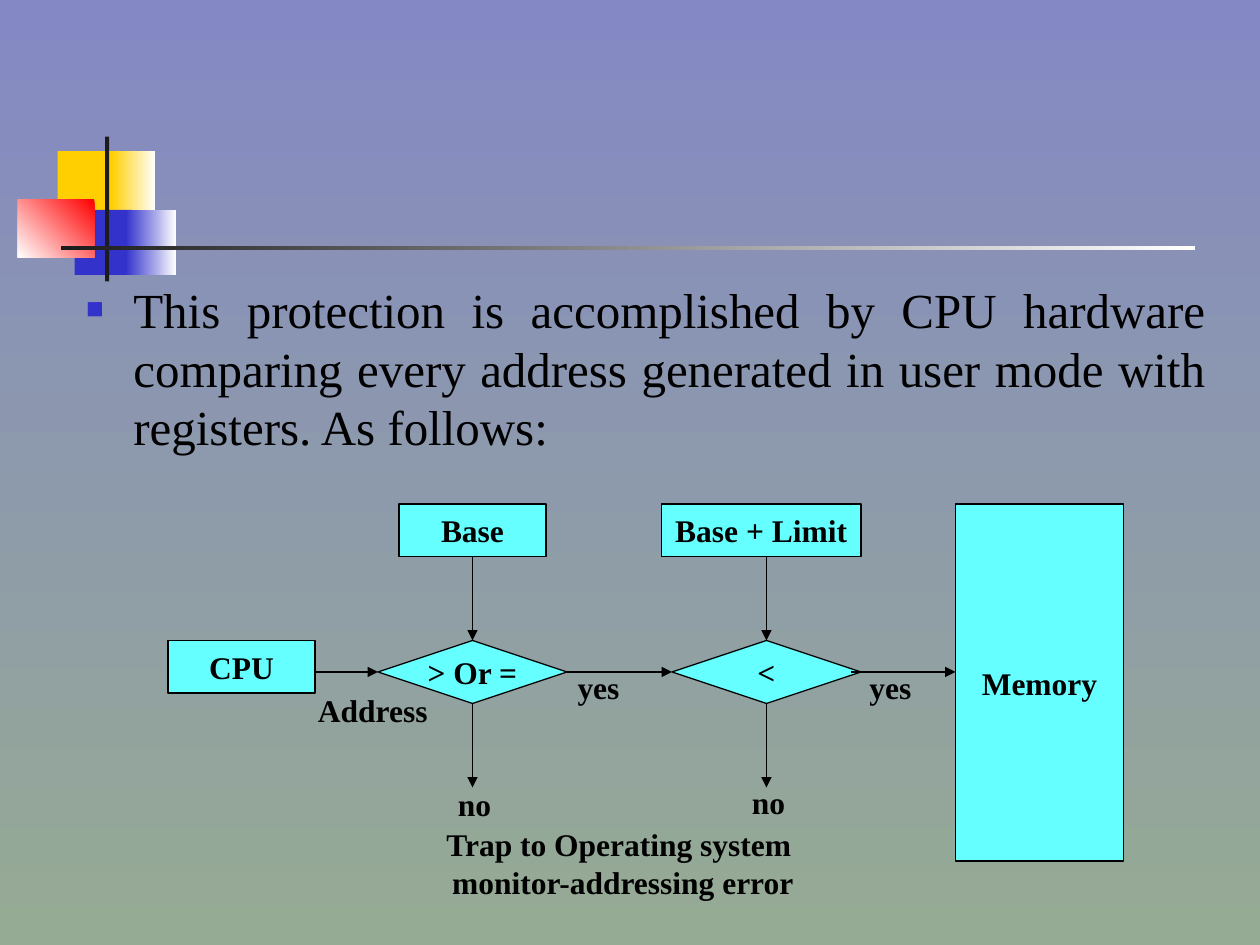
from dataclasses import dataclass

from lxml.etree import SubElement
from pptx import Presentation
from pptx.dml.color import RGBColor
from pptx.enum.shapes import MSO_CONNECTOR as CONN, MSO_SHAPE as SHAPE
from pptx.enum.text import MSO_ANCHOR as ANCHOR, MSO_AUTO_SIZE as AUTO, PP_ALIGN as ALIGN
from pptx.oxml.ns import qn
from pptx.util import Pt

PX = 7620


def px(*lengths):
    return [n * PX for n in lengths]


@dataclass(frozen=True)
class Theme:
    font: str = "Times New Roman"
    body: int = 28
    label: int = 18
    line: float = 0.75
    ink: str = "000000"
    box: str = "66FFFF"
    yellow: str = "FFCF01"
    blue: str = "3333CC"
    red: str = "FF0000"
    white: str = "FFFFFF"
    dark: str = "1C1C1C"
    sky: str = "8488C4"
    sage: str = "96AB94"


def write(tf, text, *, font, size, color, bold=False, align=ALIGN.CENTER):
    for i, line in enumerate(text.split("\n")):
        p = tf.add_paragraph() if i else tf.paragraphs[0]
        p.alignment = align
        r = p.add_run()
        r.text = line
        r.font.name, r.font.size, r.font.bold = font, Pt(size), bold
        r.font.color.rgb = RGBColor.from_string(color)


def paint(fill, color, end=None, angle=180):
    if end is None:
        fill.solid()
        fill.fore_color.rgb = RGBColor.from_string(color)
        return
    fill.gradient()
    fill.gradient_angle = 360 - angle
    for stop, c in zip(fill.gradient_stops, (color, end)):
        stop.color.rgb = RGBColor.from_string(c)


class Deck:
    def __init__(self, theme):
        self.t = theme
        self.prs = Presentation()
        self.prs.slide_width, self.prs.slide_height = px(1200, 900)

    def slide(self):
        self.s = self.prs.slides.add_slide(self.prs.slide_layouts[1])
        title = self.s.shapes.title.element
        title.getparent().remove(title)
        paint(self.s.background.fill, self.t.sky, self.t.sage, 90)

    def block(self, at, *colors):
        sp = self.s.shapes.add_shape(SHAPE.RECTANGLE, *px(*at))
        sp.shadow.inherit = False
        paint(sp.fill, *colors)
        sp.line.fill.background()

    def bullet(self, at, text):
        t = self.t
        sp = self.s.placeholders[1]
        sp.left, sp.top, sp.width, sp.height = px(*at)
        tf = sp.text_frame
        tf.auto_size = AUTO.NONE
        write(tf, text, font=t.font, size=t.body, color=t.ink, align=ALIGN.JUSTIFY)
        p = tf.paragraphs[0]
        p.space_before = Pt(7)
        pPr = p._p.get_or_add_pPr()
        indent = 45 * PX
        pPr.set("marL", str(indent))
        pPr.set("indent", str(-indent))
        SubElement(SubElement(pPr, qn("a:buClr")), qn("a:srgbClr"), val=t.blue)
        SubElement(pPr, qn("a:buSzPct"), val="60000")
        SubElement(pPr, qn("a:buFont"), typeface=t.font)
        SubElement(pPr, qn("a:buChar"), char="■")

    def node(self, at, text, kind=SHAPE.RECTANGLE):
        t = self.t
        sp = self.s.shapes.add_shape(kind, *px(*at))
        sp.shadow.inherit = False
        paint(sp.fill, t.box)
        sp.line.color.rgb = RGBColor.from_string(t.ink)
        sp.line.width = Pt(t.line)
        tf = sp.text_frame
        tf.word_wrap = False
        tf.vertical_anchor = ANCHOR.MIDDLE
        write(tf, text, font=t.font, size=t.label, color=t.ink, bold=True)

    def label(self, at, text):
        t = self.t
        tf = self.s.shapes.add_textbox(*px(*at)).text_frame
        tf.word_wrap = False
        tf.auto_size = AUTO.SHAPE_TO_FIT_TEXT
        write(tf, text, font=t.font, size=t.label, color=t.ink, bold=True)

    def arrow(self, x1, y1, x2, y2):
        cx = self.s.shapes.add_connector(CONN.STRAIGHT, *px(x1, y1, x2, y2))
        cx.line.color.rgb = RGBColor.from_string(self.t.ink)
        cx.line.width = Pt(self.t.line)
        SubElement(cx.line._get_or_add_ln(), qn("a:tailEnd"), type="triangle")
        SubElement(cx.element.spPr, qn("a:effectLst"))


def main():
    t = Theme()
    d = Deck(t)
    d.slide()

    d.block((55, 144, 58, 62), t.yellow)
    d.block((106, 144, 42, 62), t.white, t.yellow)
    d.block((71, 200, 55, 62), t.blue)
    d.block((120, 200, 48, 62), t.white, t.blue)
    d.block((17, 190, 73, 55), t.red, t.white, 135)
    d.block((100, 130, 4, 138), t.dark)
    d.block((58, 234, 1080, 4), t.white, t.dark)

    d.bullet((70, 260, 1090, 600),
             "This protection is accomplished by CPU hardware comparing every "
             "address generated in user mode with registers. As follows:")

    top, mid, flow = 480, 610, 640
    d.node((160, mid, 140, 50), "CPU")
    d.node((630, top, 190, 50), "Base + Limit")
    d.node((380, top, 140, 50), "Base")
    d.node((910, top, 160, 340), "Memory")
    for x, test, no_top in ((450, "> Or =", 742), (730, "<", 740)):
        d.node((x - 90, mid, 180, 60), test, SHAPE.DIAMOND)
        d.arrow(x, top + 50, x, mid)
        d.arrow(x, mid + 60, x, mid + 140)
        d.label((x - 28, no_top, 60, 48), "no")
    for x1, x2 in ((300, 360), (540, 640), (810, 910)):
        d.arrow(x1, flow, x2, flow)
    d.label((288, 652, 134, 48), "Address")
    for x in (536, 814):
        d.label((x, 630, 68, 48), "yes")
    d.label((408, 780, 363, 84), "Trap to Operating system\n monitor-addressing error")

    d.prs.save("out.pptx")


if __name__ == "__main__":
    main()
